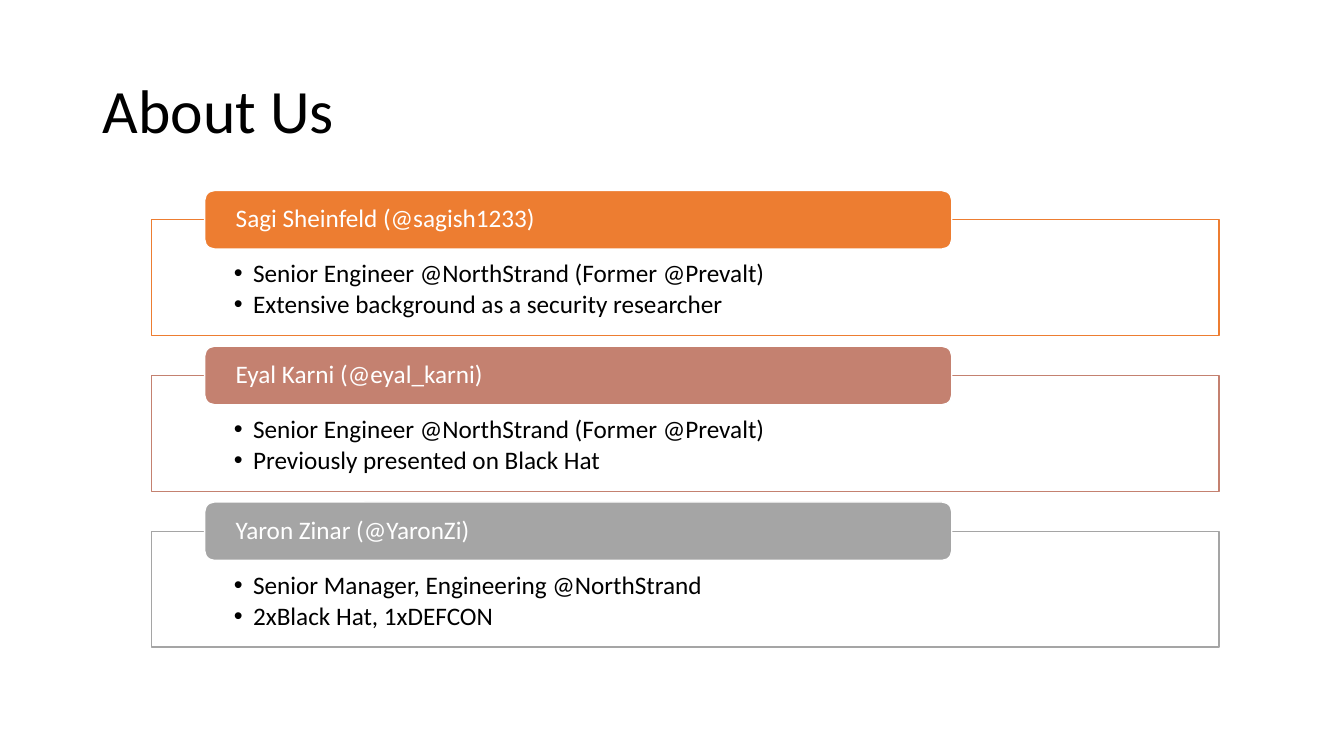
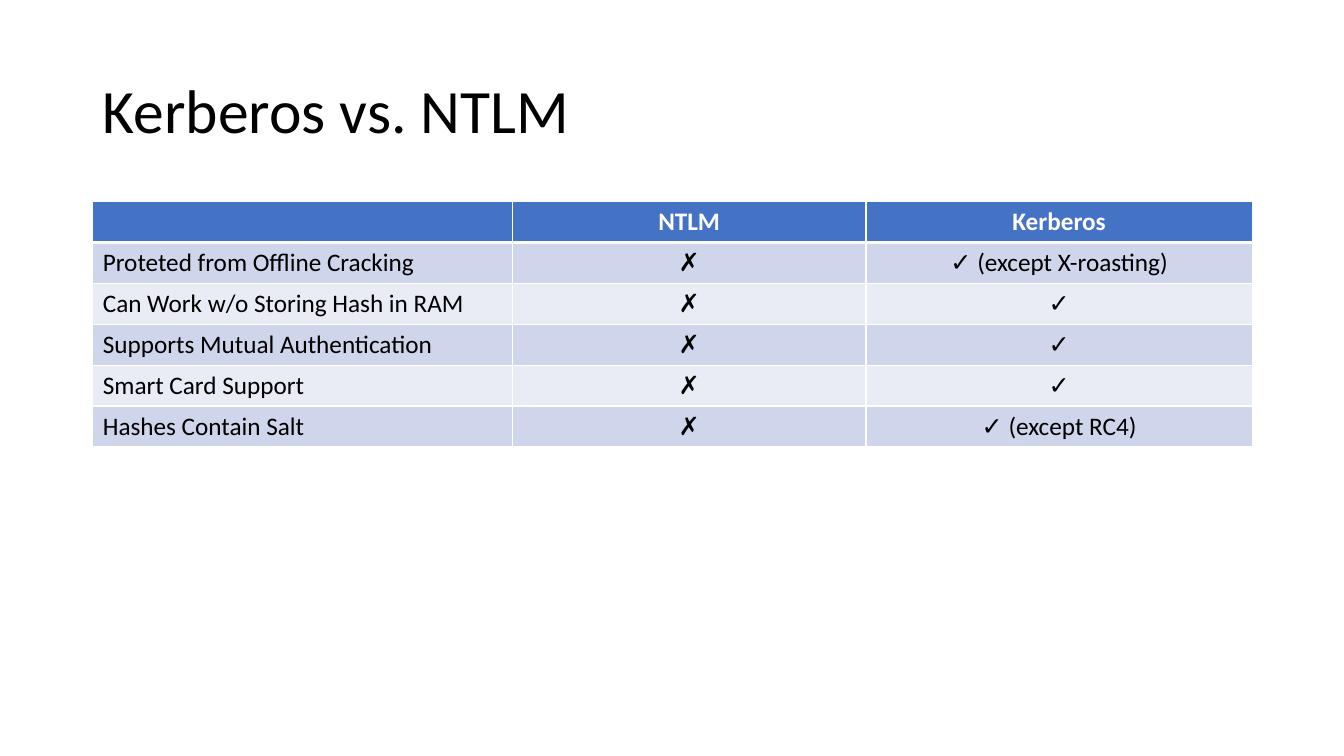
from dataclasses import dataclass

from lxml import etree
from pptx import Presentation
from pptx.dml.color import RGBColor
from pptx.enum.shapes import MSO_SHAPE
from pptx.enum.text import MSO_ANCHOR, MSO_AUTO_SIZE, PP_ALIGN
from pptx.oxml.ns import qn
from pptx.util import Inches, Pt

RECT, ROUND = MSO_SHAPE.RECTANGLE, MSO_SHAPE.ROUNDED_RECTANGLE
TOP, MIDDLE = MSO_ANCHOR.TOP, MSO_ANCHOR.MIDDLE
LEFT, CENTER = PP_ALIGN.LEFT, PP_ALIGN.CENTER
TITLE_ONLY = 5


@dataclass(frozen=True)
class Theme:
    font: str = "Calibri"
    title: int = 44
    body: int = 18
    black: str = "000000"
    white: str = "FFFFFF"
    head: str = "4472C4"
    bands: tuple = ("CFD5EA", "E9EBF5")
    accents: tuple = ("ED7D31", "C48170", "A5A5A5")
    leading: float = 0.9


THEME = Theme()

PEOPLE = [
    ("Sagi Sheinfeld (@sagish1233)",
     ["Senior Engineer @NorthStrand (Former @Prevalt)",
      "Extensive background as a security researcher"]),
    ("Eyal Karni (@eyal_karni)",
     ["Senior Engineer @NorthStrand (Former @Prevalt)",
      "Previously presented on Black Hat"]),
    ("Yaron Zinar (@YaronZi)",
     ["Senior Manager, Engineering @NorthStrand",
      "2xBlack Hat, 1xDEFCON"]),
]
ROWS = [
    ("", "NTLM", "Kerberos"),
    ("Proteted from Offline Cracking", "✗", "✓ (except X-roasting)"),
    ("Can Work w/o Storing Hash in RAM", "✗", "✓"),
    ("Supports Mutual Authentication", "✗", "✓"),
    ("Smart Card Support", "✗", "✓"),
    ("Hashes Contain Salt", "✗", "✓ (except RC4)"),
]
WIDTHS = (4.16, 3.51, 3.83)


def rgb(color):
    return RGBColor.from_string(color)


def style(para, color, size=THEME.body, bold=False, align=LEFT):
    para.alignment = align
    font = para.font
    font.name, font.size, font.bold = THEME.font, Pt(size), bold
    font.color.rgb = rgb(color)


def add_slide(deck, title):
    slide = deck.slides.add_slide(deck.slide_layouts[TITLE_ONLY])
    shape = slide.shapes.title
    shape.left, shape.top = Inches(0.92), Inches(0.4)
    shape.width, shape.height = Inches(11.5), Inches(1.45)
    frame = shape.text_frame
    frame.text = title
    frame.auto_size = MSO_AUTO_SIZE.NONE
    frame.vertical_anchor = MIDDLE
    para = frame.paragraphs[0]
    para.line_spacing = THEME.leading
    style(para, THEME.black, THEME.title)
    return slide


def add_bullet(para):
    props = para._p.get_or_add_pPr()
    props.set("marL", str(Inches(0.19)))
    props.set("indent", str(-Inches(0.19)))
    etree.SubElement(props, qn("a:buFont"), typeface="Arial")
    etree.SubElement(props, qn("a:buChar"), char="•")


def add_box(slide, kind, place, fill, line, lines, color, insets, anchor, bullets=False):
    shape = slide.shapes.add_shape(kind, *map(Inches, place))
    shape.shadow.inherit = False
    shape.fill.solid()
    shape.fill.fore_color.rgb = rgb(fill)
    shape.line.color.rgb = rgb(line)
    shape.line.width = Pt(1)
    frame = shape.text_frame
    frame.word_wrap = True
    frame.vertical_anchor = anchor
    (frame.margin_left, frame.margin_top,
     frame.margin_right, frame.margin_bottom) = map(Inches, insets)
    frame.text = "\n".join(lines)
    for para in frame.paragraphs:
        if bullets:
            add_bullet(para)
            para.space_after = Pt(2.5)
        para.line_spacing = THEME.leading
        style(para, color)


def add_card(slide, top, accent, name, facts):
    add_box(slide, RECT, (1.5, top, 10.59, 1.15), THEME.white, accent, facts,
            THEME.black, (0.82, 0.41, 0.82, 0.14), TOP, True)
    add_box(slide, ROUND, (2.03, top - 0.29, 7.41, 0.58), accent, THEME.white, [name],
            THEME.white, (0.28, 0, 0.28, 0), MIDDLE)


def add_edges(cell, above, below):
    props = cell._tc.get_or_add_tcPr()
    sides = (("lnL", 1), ("lnR", 1), ("lnT", above), ("lnB", below))
    for spot, (side, width) in enumerate(sides):
        edge = etree.Element(qn("a:" + side), w=str(Pt(width)))
        fill = etree.SubElement(edge, qn("a:solidFill"))
        etree.SubElement(fill, qn("a:srgbClr"), val=THEME.white)
        props.insert(spot, edge)


def add_grid(slide, rows, widths):
    table = slide.shapes.add_table(
        len(rows), len(widths), Inches(0.92), Inches(2),
        Inches(sum(widths)), Inches(2.43)).table
    for col, width in zip(table.columns, widths):
        col.width = Inches(width)
    for r, row in enumerate(rows):
        head = r == 0
        for c, text in enumerate(row):
            cell = table.cell(r, c)
            cell.text = text
            cell.fill.solid()
            cell.fill.fore_color.rgb = rgb(THEME.head if head else THEME.bands[(r - 1) % 2])
            add_edges(cell, 3 if r == 1 else 1, 3 if head else 1)
            style(cell.text_frame.paragraphs[0], THEME.white if head else THEME.black,
                  bold=head, align=CENTER if c else LEFT)


def main():
    deck = Presentation()
    deck.slide_width, deck.slide_height = Inches(13.33), Inches(7.5)

    about = add_slide(deck, "About Us")
    first, last = 2.18, 5.27
    step = (last - first) / (len(PEOPLE) - 1)
    for i, (accent, (name, facts)) in enumerate(zip(THEME.accents, PEOPLE)):
        add_card(about, first + i * step, accent, name, facts)

    add_grid(add_slide(deck, "Kerberos vs. NTLM"), ROWS, WIDTHS)
    deck.save("out.pptx")


if __name__ == "__main__":
    main()
